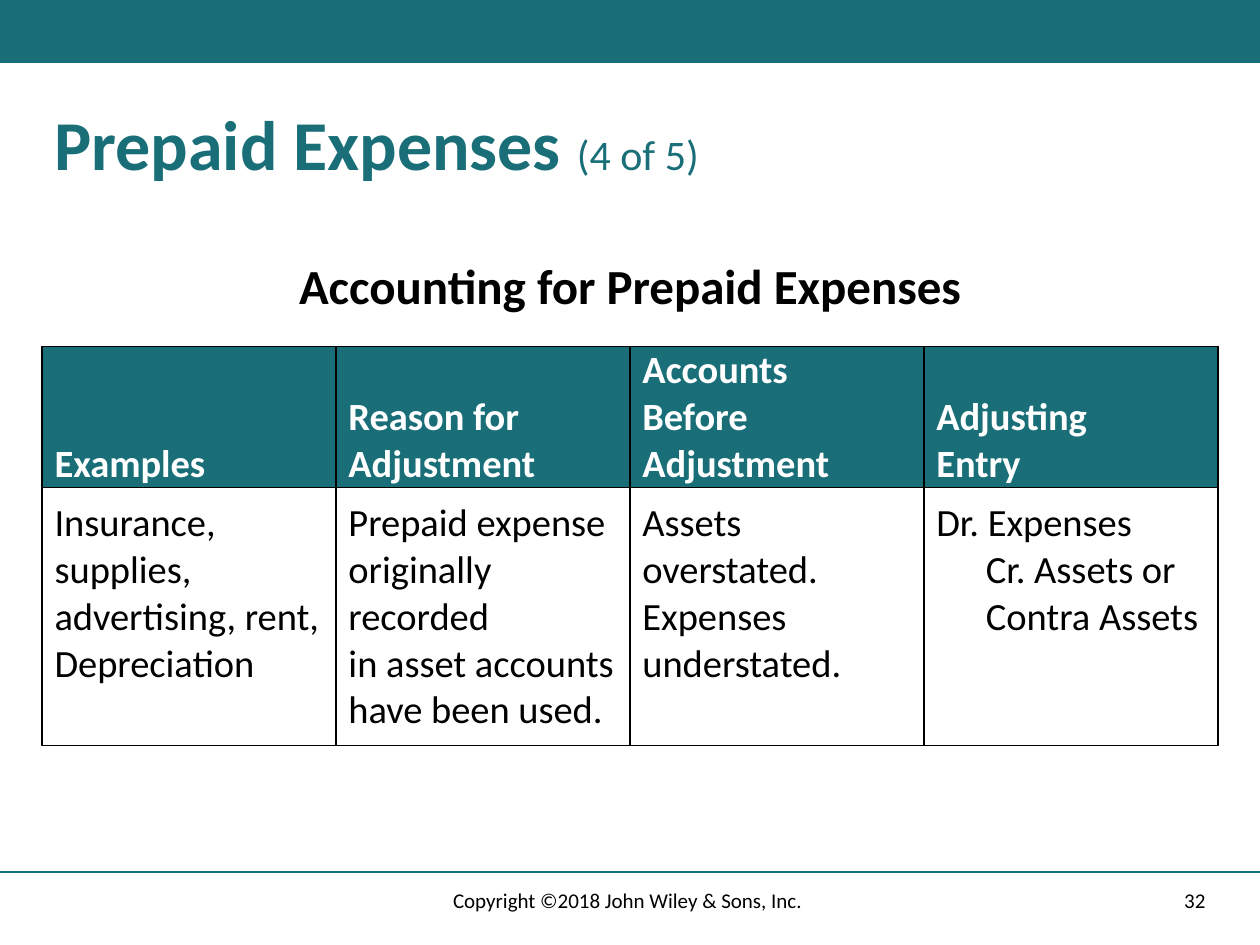
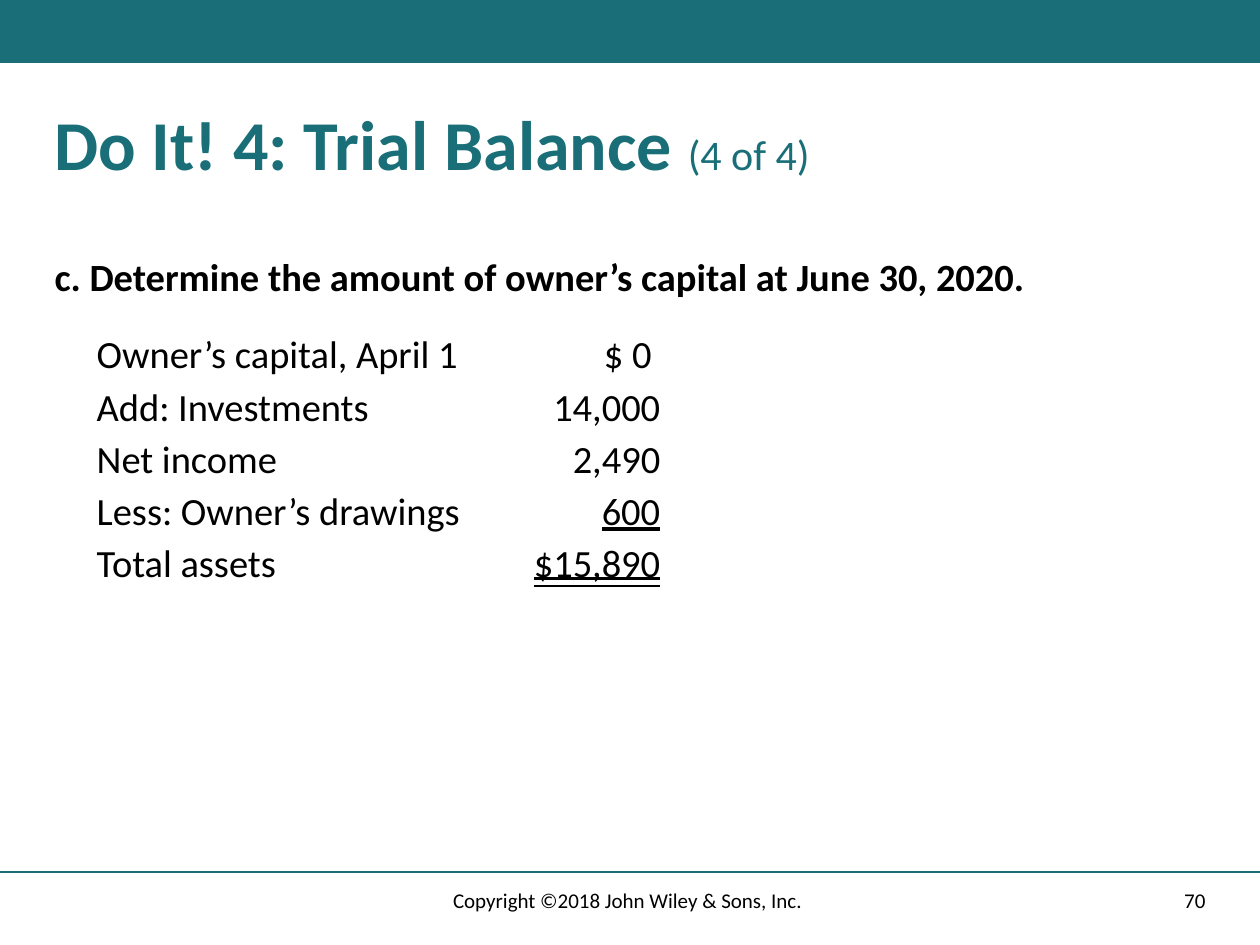
from lxml import etree
from pptx import Presentation
from pptx.dml.color import RGBColor
from pptx.enum.shapes import MSO_CONNECTOR, MSO_SHAPE
from pptx.enum.text import MSO_ANCHOR as Anchor, MSO_TEXT_UNDERLINE_TYPE as Underline, PP_ALIGN as Align
from pptx.oxml.ns import qn
from pptx.util import Cm, Pt

COLORS = {"teal": "196E78", "black": "000000", "white": "FFFFFF"}
FONT = "Calibri"
WIDTH, HEIGHT = 25.4, 19.05
MARGIN = 0.85
INSET = 0.25
FOOTER_TOP = 17.65
COPYRIGHT = "Copyright ©2018 John Wiley & Sons, Inc. "

TITLE = {"size": Pt(40), "bold": True, "color": "teal"}
PART = {"size": Pt(24), "bold": False, "color": "teal"}
CAPTION = {"size": Pt(28), "bold": True, "color": "black"}
QUESTION = {"size": Pt(22), "bold": True, "color": "black"}
HEADER = {"size": Pt(22), "bold": True, "color": "white"}
BODY = {"size": Pt(22), "bold": False, "color": "black"}
FOOTER = {"size": Pt(12), "bold": False, "color": "black"}

PREPAID = {
    "title": "Prepaid Expenses ", "part": "(4 of 5)", "number": "32",
    "caption": "Accounting for Prepaid Expenses",
    "columns": [
        (["Examples"],
         ["Insurance,", "supplies,", "advertising, rent,", "Depreciation"]),
        (["Reason for", "Adjustment"],
         ["Prepaid expense", "originally recorded", "in asset accounts", "have been used."]),
        (["Accounts", "Before", "Adjustment"],
         ["Assets", "overstated.", "Expenses", "understated."]),
        (["Adjusting", "Entry"],
         ["Dr. Expenses", "Cr. Assets or Contra Assets"]),
    ],
}
TRIAL_BALANCE = {
    "title": "Do It! 4: Trial Balance ", "part": "(4 of 4)", "number": "70",
    "question": "c. Determine the amount of owner’s capital at June 30, 2020.",
    "accounts": [
        ("Owner’s capital, April 1", "$ 0 ", None),
        ("Add: Investments", "14,000", None),
        ("Net income", "2,490", None),
        ("Less: Owner’s drawings", "600", Underline.SINGLE_LINE),
        ("Total assets", "$15,890", Underline.DOUBLE_LINE),
    ],
}


def rgb(name):
    return RGBColor.from_string(COLORS[name])


def add_run(paragraph, text, style):
    run = paragraph.add_run()
    run.text = text
    run.font.name = FONT
    for attribute, value in style.items():
        if attribute == "color":
            run.font.color.rgb = rgb(value)
        else:
            setattr(run.font, attribute, value)


def add_text(slide, box, runs, align=Align.LEFT, anchor=Anchor.TOP, line_spacing=0.9):
    frame = slide.shapes.add_textbox(*map(Cm, box)).text_frame
    frame.word_wrap = True
    frame.vertical_anchor = anchor
    paragraph = frame.paragraphs[0]
    paragraph.alignment = align
    paragraph.line_spacing = line_spacing
    for text, style in runs:
        add_run(paragraph, text, style)


def add_page(deck, content):
    """Add a slide with the band, title and footer that all slides share."""
    slide = deck.slides.add_slide(deck.slide_layouts[6])
    band = slide.shapes.add_shape(MSO_SHAPE.RECTANGLE, 0, 0, Cm(WIDTH), Cm(1.27))
    band.shadow.inherit = False
    band.fill.solid()
    band.fill.fore_color.rgb = rgb("teal")
    band.line.fill.background()

    rule_top = Cm(17.58)
    rule = slide.shapes.add_connector(MSO_CONNECTOR.STRAIGHT, 0, rule_top, Cm(WIDTH), rule_top)
    rule.line.color.rgb = rgb("teal")
    rule.line.width = Pt(1)
    etree.SubElement(rule._element.spPr, qn("a:effectLst"))

    add_text(slide, (MARGIN, 2.1, WIDTH - 2 * MARGIN, 2.15),
             [(content["title"], TITLE), (content["part"], PART)])
    copyright_width, number_width = 8.6, 6.6
    for text, left, width, align in (
        (content["number"], WIDTH - MARGIN - number_width, number_width, Align.RIGHT),
        (COPYRIGHT, (WIDTH - copyright_width) / 2, copyright_width, Align.CENTER),
    ):
        add_text(slide, (left, FOOTER_TOP, width, 1), [(text, FOOTER)],
                 align, Anchor.MIDDLE, 1.0)
    return slide


def add_grid(slide, left, top, widths, heights):
    """Add a table without style options and with the given sizes."""
    table = slide.shapes.add_table(len(heights), len(widths), Cm(left), Cm(top),
                                   Cm(sum(widths)), Cm(sum(heights))).table
    table.first_row = table.horz_banding = False
    for column, width in zip(table.columns, widths):
        column.width = Cm(width)
    for row, height in zip(table.rows, heights):
        row.height = Cm(height)
    return table


def add_borders(cell):
    properties = cell._tc.get_or_add_tcPr()
    for side in ("lnL", "lnR", "lnT", "lnB"):
        border = etree.SubElement(properties, qn(f"a:{side}"), w=str(Pt(1)))
        fill = etree.SubElement(border, qn("a:solidFill"))
        etree.SubElement(fill, qn("a:srgbClr"), val=COLORS["black"])


def fill_cell(cell, lines, style, fill="white", margins=(0, 0), align=Align.LEFT):
    cell.fill.solid()
    cell.fill.fore_color.rgb = rgb(fill)
    cell.margin_left = cell.margin_right = Cm(INSET)
    cell.margin_top, cell.margin_bottom = map(Cm, margins)
    frame = cell.text_frame
    for index, line in enumerate(lines):
        paragraph = frame.add_paragraph() if index else frame.paragraphs[0]
        paragraph.alignment = align
        add_run(paragraph, line, style)


def underline_from(cell, start, end):
    """Let an underlined tab lead from start to an amount that ends at end."""
    cell.margin_left = Cm(start)
    cell.margin_right = Cm(INSET - 0.05)
    properties = cell.text_frame.paragraphs[0]._p.get_or_add_pPr()
    tabs = etree.SubElement(properties, qn("a:tabLst"))
    etree.SubElement(tabs, qn("a:tab"), pos=str(Cm(end - start)), algn="r")


def build_prepaid(deck):
    slide = add_page(deck, PREPAID)
    caption_width = 14.74
    add_text(slide, ((WIDTH - caption_width) / 2, 5.16, caption_width, 1.35),
             [(PREPAID["caption"], CAPTION)], Align.CENTER)
    columns = PREPAID["columns"]
    column_width = (WIDTH - 2 * MARGIN) / len(columns)
    table = add_grid(slide, MARGIN, 6.99, [column_width] * len(columns), [2.84, 5.2])
    for index, (heading, entry) in enumerate(columns):
        heading_cell, entry_cell = table.cell(0, index), table.cell(1, index)
        add_borders(heading_cell)
        add_borders(entry_cell)
        fill_cell(heading_cell, heading, HEADER, "teal")
        heading_cell.vertical_anchor = Anchor.BOTTOM
        fill_cell(entry_cell, entry, BODY, margins=(INSET, INSET))
    credit_entry = entry_cell.text_frame.paragraphs[1]._p.get_or_add_pPr()
    credit_entry.set("marL", str(Cm(1)))
    credit_entry.set("indent", "0")


def build_trial_balance(deck):
    slide = add_page(deck, TRIAL_BALANCE)
    add_text(slide, (MARGIN, 5.08, 23.5, 1), [(TRIAL_BALANCE["question"], QUESTION)])
    accounts = TRIAL_BALANCE["accounts"]
    amount_width = 3.81
    table = add_grid(slide, 1.7, 6.7, [8.05, amount_width], [1.05] * len(accounts))
    for row, (account, amount, underline) in enumerate(accounts):
        account_cell, amount_cell = table.cell(row, 0), table.cell(row, 1)
        fill_cell(account_cell, [account], BODY, margins=(0, 0.1))
        amount_style = {**BODY, "underline": underline}
        if underline == Underline.SINGLE_LINE:
            fill_cell(amount_cell, ["\t" + amount], amount_style, margins=(0, 0.1))
            underline_from(amount_cell, 1.14, amount_width - INSET)
        else:
            fill_cell(amount_cell, [amount], amount_style, margins=(0, 0.1), align=Align.RIGHT)


def main():
    deck = Presentation()
    deck.slide_width, deck.slide_height = Cm(WIDTH), Cm(HEIGHT)
    build_prepaid(deck)
    build_trial_balance(deck)
    deck.save("out.pptx")


if __name__ == "__main__":
    main()
